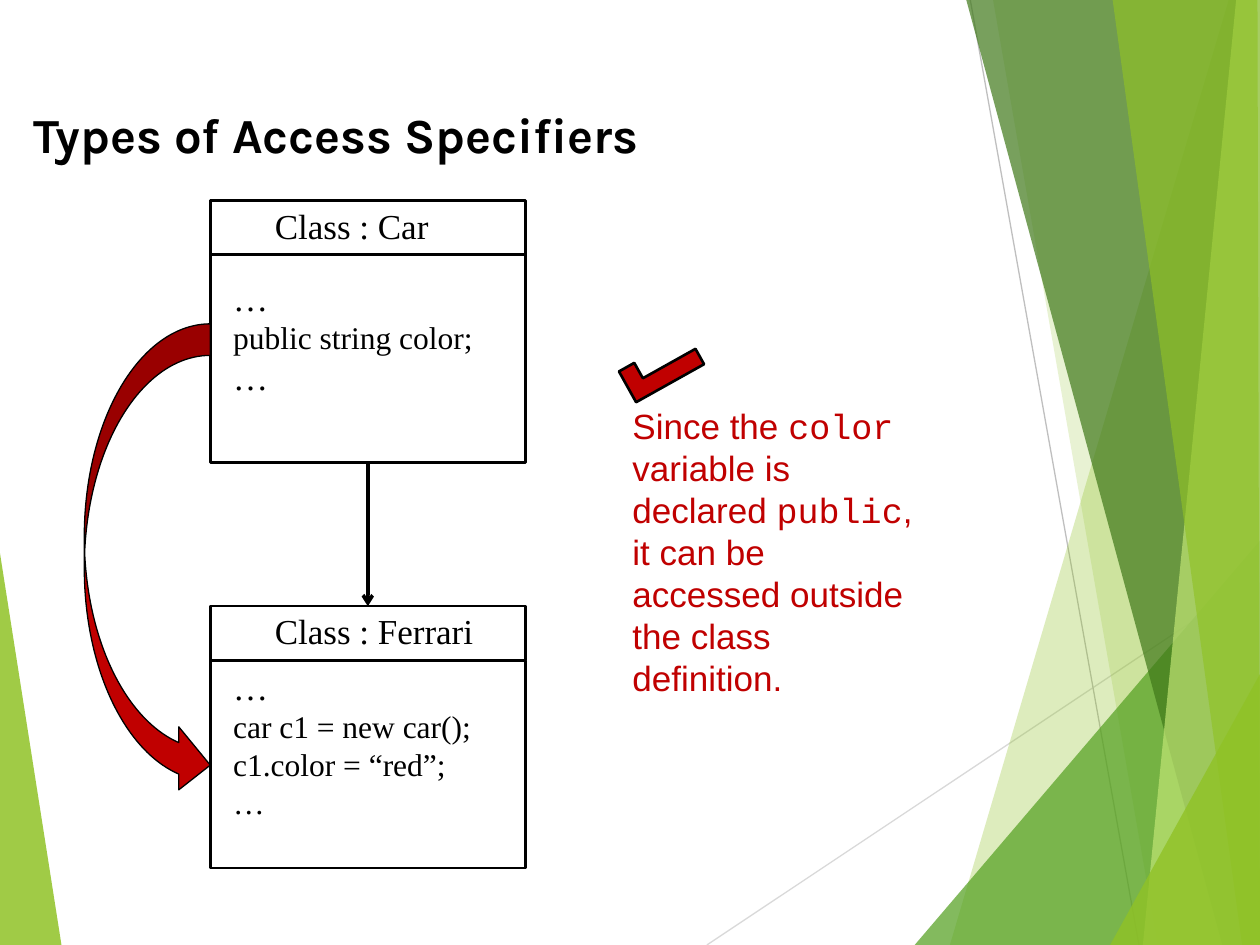
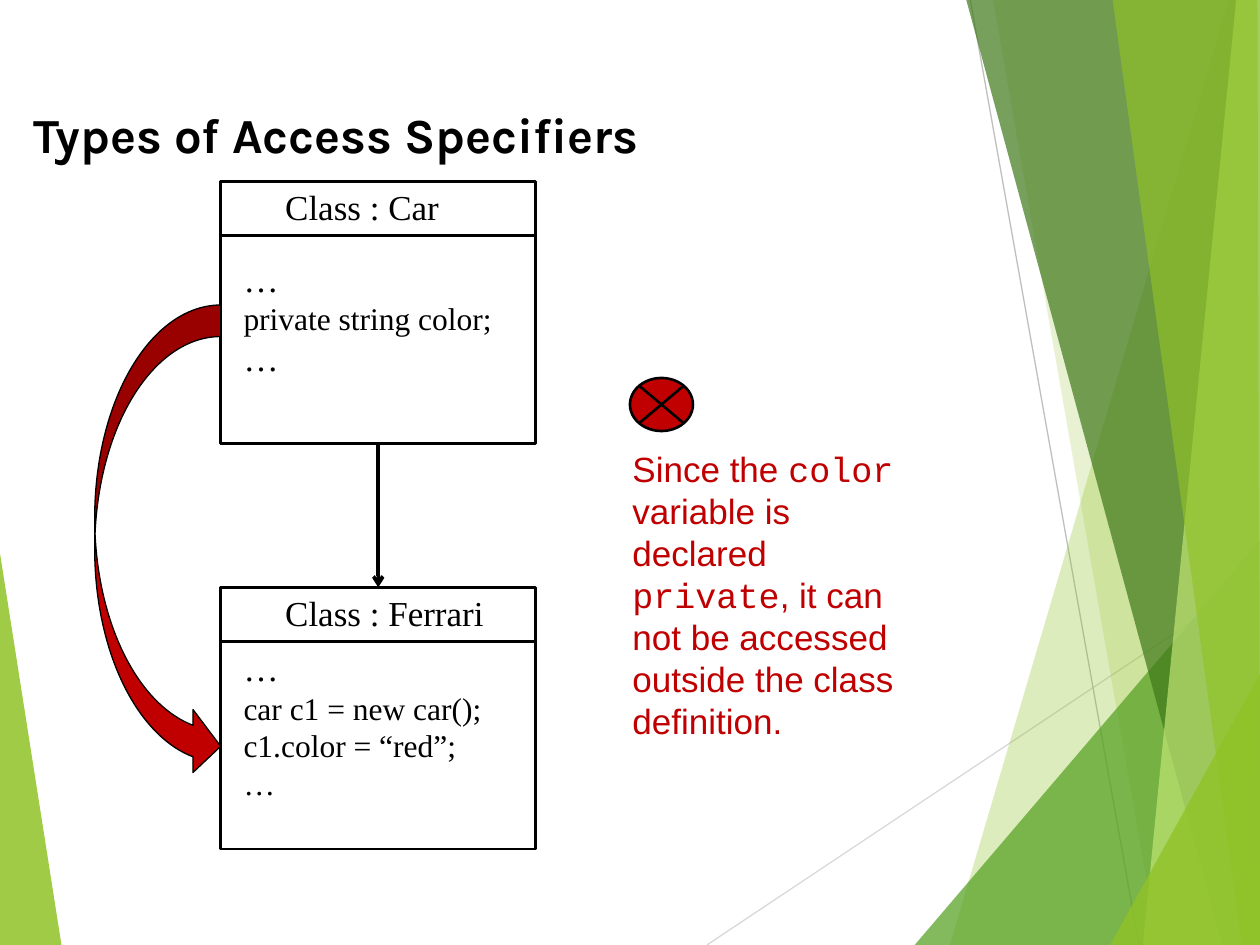
"""Build two slides that compare the public and private access specifiers."""
import dataclasses

import pptx
import pptx.dml.color
import pptx.enum.shapes
import pptx.oxml.ns
import pptx.util
from lxml import etree

Cm = pptx.util.Cm
Pt = pptx.util.Pt
qn = pptx.oxml.ns.qn
SHAPE = pptx.enum.shapes.MSO_SHAPE
STRAIGHT = pptx.enum.shapes.MSO_CONNECTOR.STRAIGHT


@dataclasses.dataclass(frozen=True)
class Theme:
    width: float = 25.4
    height: float = 19.05
    ink: str = "000000"
    accent: str = "C00000"
    lime: str = "90C226"
    green: str = "54A021"
    forest: str = "3F7819"
    pale: str = "C0E474"
    light_gray: str = "D9D9D9"
    gray: str = "BFBFBF"
    title_font: str = "Karla"
    class_font: str = "Times New Roman"
    note_font: str = "Arial"
    code_font: str = "Courier New"
    title_size: int = 28
    text_size: int = 20
    code_size: int = 18
    hairline: float = 0.75
    outline: float = 1.5
    arrow: float = 2


THEME = Theme()
W, H = THEME.width, THEME.height

RAYS = [
    ((14.25, H), (W, 11.62), THEME.light_gray),
    ((19.56, 0), (22.96, H), THEME.gray),
]
FACETS = [
    (THEME.lime, 85, [(0, 11.15), (1.24, H), (0, H)]),
    (THEME.lime, 30, [(24.77, 0), (19.15, H), (W, H), (W, 0)]),
    (THEME.lime, 20, [(20.02, 0), (23.34, H), (W, H), (W, 0)]),
    (THEME.green, 72, [(18.44, H), (W, 10.9), (W, H)]),
    (THEME.forest, 70, [(19.48, 0), (24.64, H), (W, H), (W, 0)]),
    (THEME.pale, 70, [(24.92, 0), (23.04, H), (W, H), (W, 0)]),
    (THEME.lime, 65, [(22.43, 0), (25.04, H), (W, H), (25.35, 0)]),
    (THEME.lime, 80, [(22.38, H), (W, 13.59), (W, H)]),
]

BOX_WIDTH, HEADER_HEIGHT, BODY_HEIGHT = 6.35, 1.09, 4.19
FERRARI_DROP = 8.18
FERRARI_CODE = [
    ("…", THEME.text_size),
    ("car c1 = new car();", THEME.code_size),
    ("c1.color = “red”;", THEME.code_size),
    ("…", THEME.code_size),
]


def rgb(color):
    return pptx.dml.color.RGBColor.from_string(color)


class Deck:
    """Hold the theme and the current slide, and draw each kind of element."""

    def __init__(self, theme):
        self.theme = theme
        self.presentation = pptx.Presentation()
        self.presentation.slide_width = Cm(theme.width)
        self.presentation.slide_height = Cm(theme.height)
        self.slide = None

    def new_slide(self, title):
        self.slide = self.presentation.slides.add_slide(self.presentation.slide_layouts[6])
        self.facet(*FACETS[0])
        for start, end, color in RAYS:
            self.line(start, end, color, self.theme.hairline)
        for facet in FACETS[1:]:
            self.facet(*facet)
        self.text(0.43, 1.98, 24.33, 1.45, [(title, self.theme.title_size)],
                  self.theme.title_font, bold=True)

    def facet(self, color, opacity, corners):
        start, *others = [(Cm(x), Cm(y)) for x, y in corners]
        builder = self.slide.shapes.build_freeform(*start)
        builder.add_line_segments(others, close=True)
        facet = builder.convert_to_shape()
        facet.shadow.inherit = False
        facet.fill.solid()
        facet.fill.fore_color.rgb = rgb(color)
        facet.line.fill.background()
        tint = facet.element.spPr.find(".//" + qn("a:srgbClr"))
        etree.SubElement(tint, qn("a:alpha"), val=str(opacity * 1000))

    def line(self, start, end, color, weight):
        line = self.slide.shapes.add_connector(
            STRAIGHT, *(Cm(value) for value in (*start, *end)))
        line.line.color.rgb = rgb(color)
        line.line.width = Pt(weight)
        etree.SubElement(line.element.spPr, qn("a:effectLst"))
        return line

    def arrow(self, source, target):
        arrow = self.line((0, 0), (0, 0), self.theme.ink, self.theme.arrow)
        arrow.begin_connect(source, 2)
        arrow.end_connect(target, 0)
        stroke = arrow.element.spPr.find(qn("a:ln"))
        etree.SubElement(stroke, qn("a:tailEnd"), type="arrow")

    def shape(self, kind, x, y, width, height, fill=None, weight=THEME.outline):
        shape = self.slide.shapes.add_shape(kind, Cm(x), Cm(y), Cm(width), Cm(height))
        shape.shadow.inherit = False
        if fill:
            shape.fill.solid()
            shape.fill.fore_color.rgb = rgb(fill)
        else:
            shape.fill.background()
        shape.line.color.rgb = rgb(self.theme.ink)
        shape.line.width = Pt(weight)
        return shape

    def check_mark(self, x, y, width, height):
        check_mark = self.shape(SHAPE.RECTANGLE, x, y, width, height, self.theme.accent)
        check_mark.element.spPr.find(qn("a:prstGeom")).set("prst", "corner")
        check_mark.rotation = 330.8

    def frame(self, x, y, width, height):
        box = self.slide.shapes.add_textbox(Cm(x), Cm(y), Cm(width), Cm(height))
        box.text_frame.word_wrap = True
        return box.text_frame

    def text(self, x, y, width, height, lines, font, bold=False):
        frame = self.frame(x, y, width, height)
        frame.text = "\n".join(words for words, _ in lines)
        for paragraph, (_, size) in zip(frame.paragraphs, lines):
            paragraph.font.name = font
            paragraph.font.size = Pt(size)
            paragraph.font.bold = bold
            paragraph.font.color.rgb = rgb(self.theme.ink)

    def note(self, y, width, pieces):
        paragraph = self.frame(12.5, y, width, 6.25).paragraphs[0]
        paragraph.font.size = Pt(self.theme.text_size)
        paragraph.font.color.rgb = rgb(self.theme.accent)
        for index, words in enumerate(pieces):
            run = paragraph.add_run()
            run.text = words
            run.font.name = self.theme.code_font if index % 2 else self.theme.note_font

    def class_box(self, x, y, name, code, code_drop):
        font = self.theme.class_font
        self.text(x + 1.05, y - 0.05, 4.65, 1.17,
                  [(f"Class : {name}", self.theme.text_size)], font)
        header = self.shape(SHAPE.RECTANGLE, x, y, BOX_WIDTH, HEADER_HEIGHT)
        body = self.shape(SHAPE.RECTANGLE, x, y + HEADER_HEIGHT, BOX_WIDTH, BODY_HEIGHT)
        self.text(x + 0.21, y + code_drop, BOX_WIDTH, BODY_HEIGHT - 0.6, code, font)
        return header, body

    def class_diagram(self, x, y, access, head_length):
        size = self.theme.text_size
        car_code = [("…", size), (f"{access} string color;", self.theme.code_size), ("…", size)]
        _, car_body = self.class_box(x, y, "Car", car_code, 1.4)
        ferrari_header, _ = self.class_box(x, y + FERRARI_DROP, "Ferrari", FERRARI_CODE, 1.07)
        self.arrow(car_body, ferrari_header)
        access_arrow = self.shape(SHAPE.CURVED_RIGHT_ARROW, x - 2.54, y + 2.49, 2.54, 9.53,
                                  self.theme.accent, self.theme.hairline)
        access_arrow.adjustments[2] = head_length


def main():
    deck = Deck(THEME)
    title = "Types of Access Specifiers"

    deck.new_slide(title)
    deck.class_diagram(4.24, 4.04, "public", 0.25)
    deck.note(8.02, 6.35, ["Since the ", "color", " variable is declared ", "public",
                           ", it can be accessed outside the class definition."])
    deck.check_mark(12.55, 7.06, 1.57, 0.71)

    deck.new_slide(title)
    deck.class_diagram(4.45, 3.66, "private", 0.22)
    deck.shape(SHAPE.FLOWCHART_SUMMING_JUNCTION, 12.7, 7.62, 1.27, 1.07, THEME.accent)
    deck.note(8.89, 6.55, ["Since the ", "color", " variable is declared ", "private",
                           ", it can not be accessed outside the class definition."])

    deck.presentation.save("out.pptx")


if __name__ == "__main__":
    main()
